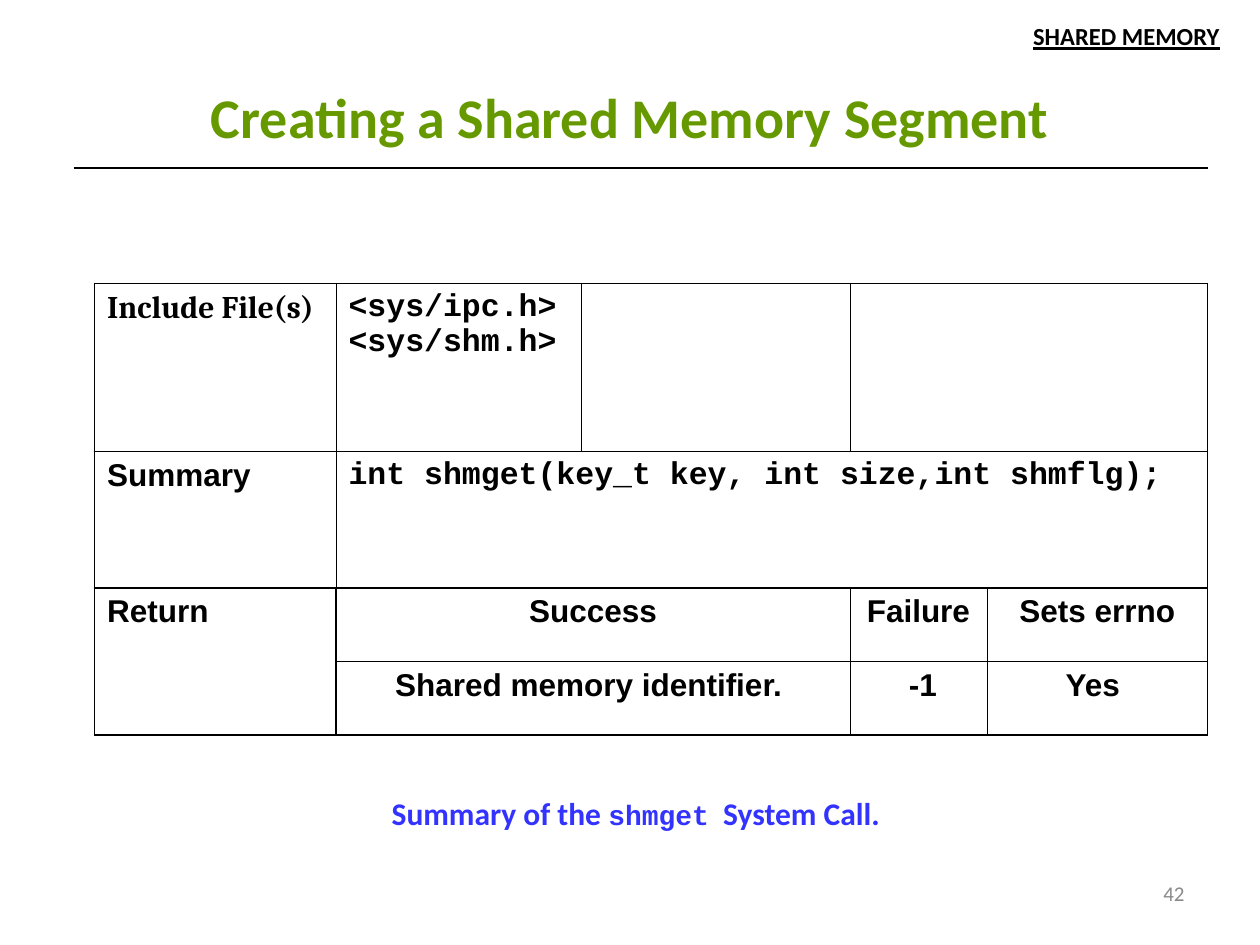
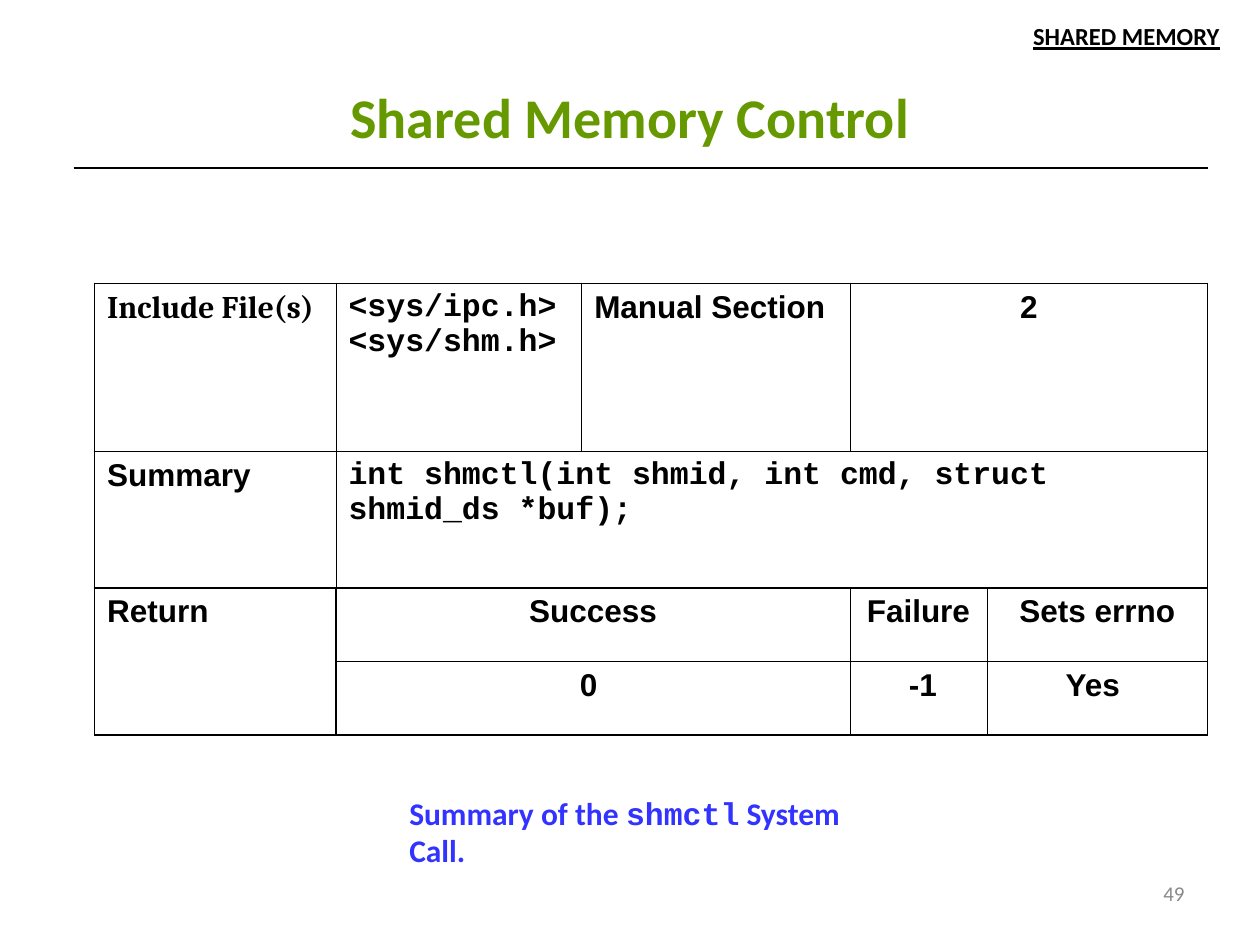
"""Build two reference slides on the shared memory system calls."""
from typing import NamedTuple

from lxml import etree
from pptx import Presentation
from pptx import util as u
from pptx.dml.color import RGBColor
from pptx.enum import shapes, text
from pptx.oxml import ns

COLOURS = {
    "title": "669900",
    "ink": "000000",
    "paper": "FFFFFF",
    "caption": "3333FF",
    "number": "898989",
}
SANS, BODY, SERIF, CODE = "Calibri", "Arial", "Cambria", "Courier New"
LEFT, CENTER, RIGHT = text.PP_ALIGN.LEFT, text.PP_ALIGN.CENTER, text.PP_ALIGN.RIGHT
OUTER, INNER = 1.08, 0.45
LABEL_WIDTH = 23 / 12


class Box(NamedTuple):
    """A rectangle in inches."""

    left: float
    top: float
    width: float
    height: float

    def lengths(self):
        """Return the four sides as slide lengths."""
        return [u.Inches(side) for side in self]


class Entry(NamedTuple):
    """The content of one table cell."""

    words: str = ""
    font: str = BODY
    align: text.PP_ALIGN = LEFT


class Call(NamedTuple):
    """What one slide says about a system call."""

    title: str
    section: tuple
    prototype: str
    success: str
    caption: tuple
    caption_box: Box
    number: str


CALLS = [
    Call("Creating a Shared Memory Segment", ("", ""),
         "int shmget(key_t key, int size,int shmflg);",
         "Shared memory identifier. ",
         (("Summary of the ", SANS, 18), ("shmget", CODE, 16), ("  System Call.", SANS, 18)),
         Box(3.01, 6.25, 4.12, 0.4), "42"),
    Call("Shared Memory Control", ("Manual Section", "2"),
         "int shmctl(int shmid, int cmd, struct shmid_ds *buf);",
         "0 ",
         (("Summary of the ", SANS, 18), ("shmctl", CODE, 18), (" System Call.", SANS, 18)),
         Box(3.15, 6.25, 4.07, 0.4), "49"),
]


def add_span(para, words, font=SANS, size=18, colour="ink", bold=True):
    """Add one formatted run to a paragraph."""
    span = para.add_run()
    span.text = words
    span.font.name = font
    span.font.size = u.Pt(size)
    span.font.bold = bold
    span.font.color.rgb = RGBColor.from_string(COLOURS[colour])
    return span


def add_title(page, box, words):
    """Place and format the title placeholder."""
    title = page.shapes.title
    title.left, title.top, title.width, title.height = box.lengths()
    title.text_frame.vertical_anchor = text.MSO_ANCHOR.MIDDLE
    title.text_frame.auto_size = text.MSO_AUTO_SIZE.NONE
    para = title.text_frame.paragraphs[0]
    para.alignment = CENTER
    add_span(para, words, size=32, colour="title")


def add_topic(page, box):
    """Add the underlined topic label in the corner."""
    topic = page.shapes.add_shape(shapes.MSO_SHAPE.RECTANGLE, *box.lengths())
    topic.shadow.inherit = False
    paper = RGBColor.from_string(COLOURS["paper"])
    topic.fill.solid()
    topic.fill.fore_color.rgb = paper
    shade = topic._element.spPr.find(f".//{ns.qn('a:srgbClr')}")
    etree.SubElement(shade, ns.qn("a:alpha"), val="72000")
    topic.line.color.rgb = paper
    topic.line.width = u.Pt(1)
    topic.text_frame.word_wrap = False
    topic.text_frame.vertical_anchor = text.MSO_ANCHOR.TOP
    para = topic.text_frame.paragraphs[0]
    para.alignment = CENTER
    add_span(para, "SHARED MEMORY", size=14).font.underline = True


def add_borders(cell, widths):
    """Draw the borders of a cell, given the width of each side."""
    properties = cell._tc.get_or_add_tcPr()
    for side, width in widths.items():
        line = etree.SubElement(properties, ns.qn(f"a:ln{side}"), w=str(u.Pt(width)))
        if width:
            fill = etree.SubElement(line, ns.qn("a:solidFill"))
            etree.SubElement(fill, ns.qn("a:srgbClr"), val=COLOURS["ink"])
        else:
            etree.SubElement(line, ns.qn("a:noFill"))


def add_grid(page, box, columns, rows, framed="LRTB"):
    """Add a table with fine inner borders and strong ones on its framed sides."""
    frame = page.shapes.add_table(len(rows), len(columns), *box.lengths())
    table = frame.table
    table.first_row = table.horz_banding = False
    for column, width in zip(table.columns, columns):
        column.width = u.Inches(width)
    for r, entries in enumerate(rows):
        table.rows[r].height = u.Inches(box.height / len(rows))
        for c, entry in enumerate(entries):
            cell = table.cell(r, c)
            edges = {"L": c == 0, "R": c == len(columns) - 1,
                     "T": r == 0, "B": r == len(rows) - 1}
            add_borders(cell, {side: (OUTER if side in framed else 0) if edge else INNER
                               for side, edge in edges.items()})
            cell.fill.background()
            para = cell.text_frame.paragraphs[0]
            para.alignment = entry.align
            if entry.words:
                add_span(para, entry.words, entry.font)


def add_summary(page, box, call):
    """Stack the include, summary and return tables in a box."""
    heights = (4 / 3, 13 / 12, 7 / 6)
    summary_top = box.top + heights[0]
    return_top = summary_top + heights[1]
    value_width = box.width - LABEL_WIDTH
    manual, section = call.section

    add_grid(page, Box(box.left, return_top, LABEL_WIDTH, heights[2]),
             (LABEL_WIDTH,), [[Entry("Return")]])
    add_grid(page, Box(box.left, summary_top, box.width, heights[1]),
             (LABEL_WIDTH, value_width), [[Entry("Summary"), Entry(call.prototype, CODE)]])
    add_grid(page, Box(box.left, box.top, box.width, heights[0]),
             (LABEL_WIDTH, 1.95, 2.13, value_width - 4.08),
             [[Entry("Include File(s)", SERIF), Entry("<sys/ipc.h> <sys/shm.h>", CODE),
               Entry(manual), Entry(section, align=CENTER)]])
    results = [("Success", "Failure", "Sets errno"), (call.success, " -1", "Yes ")]
    add_grid(page, Box(box.left + LABEL_WIDTH, return_top, value_width, heights[2]),
             (4.08, value_width - 5.83, 1.75),
             [[Entry(words, align=CENTER) for words in row] for row in results])


def add_label(page, box, spans, align=LEFT, anchor=text.MSO_ANCHOR.TOP, **style):
    """Add a one-paragraph text box made of several runs."""
    label = page.shapes.add_textbox(*box.lengths())
    label.text_frame.word_wrap = True
    label.text_frame.vertical_anchor = anchor
    para = label.text_frame.paragraphs[0]
    para.alignment = align
    for words, font, size in spans:
        add_span(para, words, font, size, **style)


def add_call_page(deck, call):
    """Add one slide that documents a system call."""
    page = deck.slides.add_slide(deck.slide_layouts.get_by_name("Title Only"))
    add_label(page, Box(7.17, 6.83, 2.33, 0.52), [(call.number, SANS, 12)], RIGHT,
              text.MSO_ANCHOR.MIDDLE, colour="number", bold=False)
    add_title(page, Box(0.5, 0.61, 9, 0.63), call.title)
    body = Box(7 / 12, 4 / 3, 9, 5.75)
    add_grid(page, body, (body.width,), [[Entry()]], framed="T")
    add_summary(page, Box(0.75, 2.25, 53 / 6, 43 / 12), call)
    add_label(page, call.caption_box, call.caption, colour="caption")
    add_topic(page, Box(8.1, 0.12, 1.68, 0.34))


def main():
    """Build and save the deck."""
    deck = Presentation()
    deck.slide_width, deck.slide_height = u.Inches(10), u.Inches(7.5)
    for call in CALLS:
        add_call_page(deck, call)
    deck.save("out.pptx")


if __name__ == "__main__":
    main()
